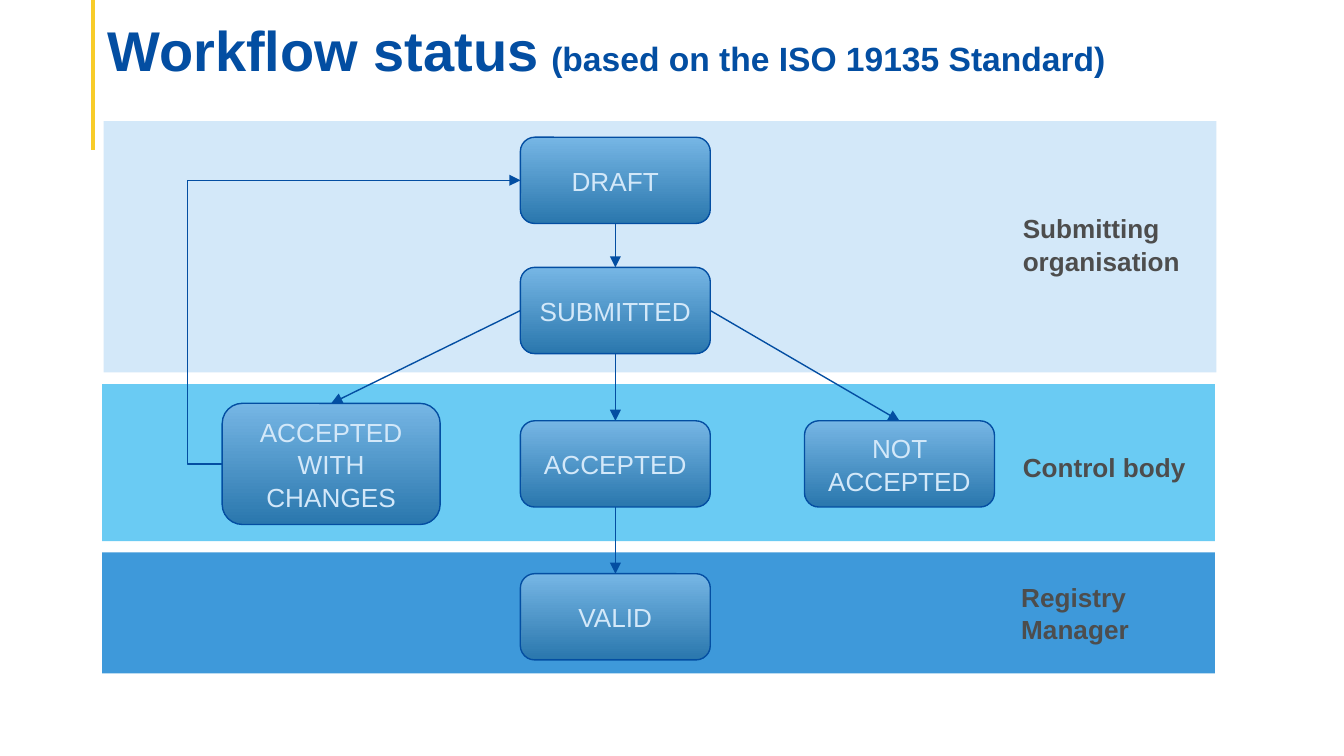
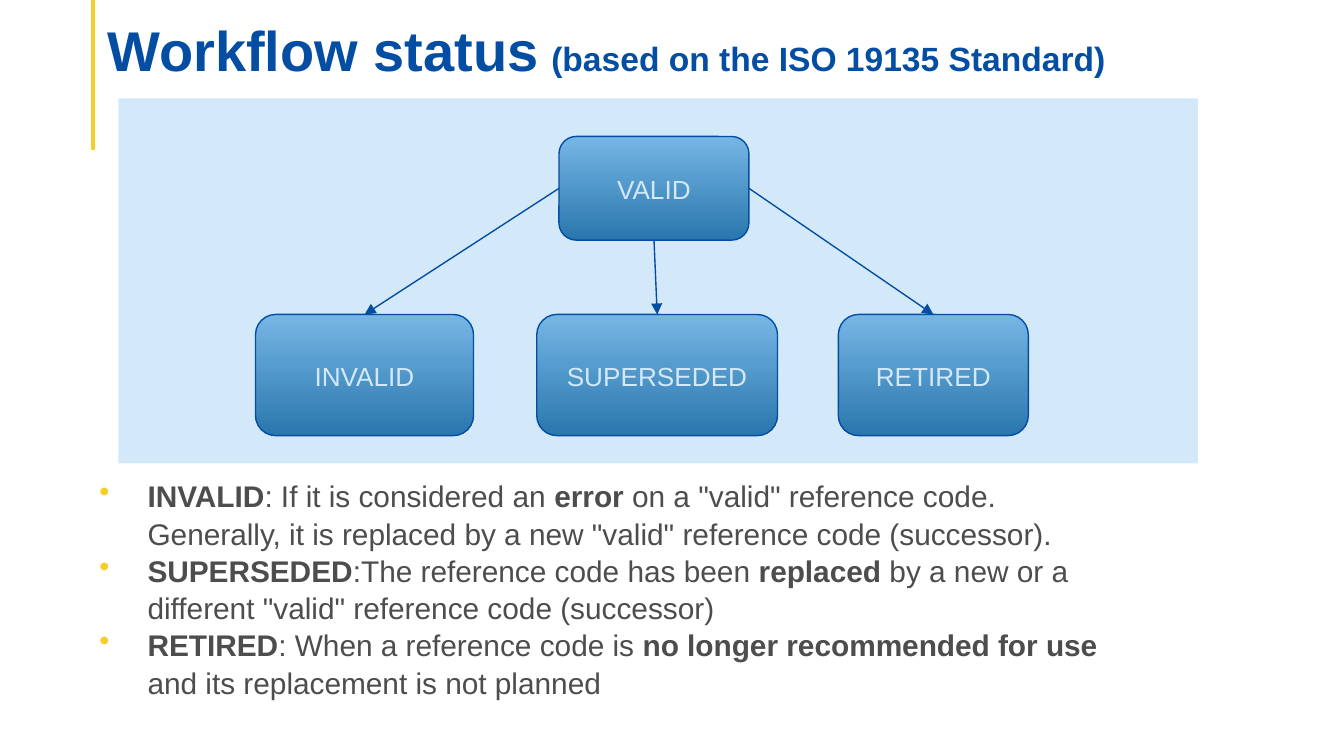
"""Builds two slides on the workflow status of reference codes."""
from lxml import etree
from pptx import Presentation
from pptx.dml.color import RGBColor
from pptx.enum.shapes import MSO_CONNECTOR, MSO_SHAPE
from pptx.enum.text import MSO_ANCHOR, MSO_AUTO_SIZE, PP_ALIGN
from pptx.oxml.ns import qn
from pptx.util import Cm, Pt

STRAIGHT, ELBOW = MSO_CONNECTOR.STRAIGHT, MSO_CONNECTOR.ELBOW
RECTANGLE, ROUNDED = MSO_SHAPE.RECTANGLE, MSO_SHAPE.ROUNDED_RECTANGLE
TOP, MIDDLE, BOTTOM = MSO_ANCHOR.TOP, MSO_ANCHOR.MIDDLE, MSO_ANCHOR.BOTTOM
LEFT, CENTER = PP_ALIGN.LEFT, PP_ALIGN.CENTER
NO_AUTOFIT = MSO_AUTO_SIZE.NONE
TOP_SIDE, LEFT_SIDE, BOTTOM_SIDE, RIGHT_SIDE = range(4)

BLUE = RGBColor(0x03, 0x4E, 0xA2)
YELLOW = RGBColor(0xF8, 0xCC, 0x29)
GREY = RGBColor(0x4D, 0x4D, 0x4D)
PALE = RGBColor(0xD3, 0xE8, 0xF9)
SKY = RGBColor(0x6A, 0xCB, 0xF3)
OCEAN = RGBColor(0x3E, 0x99, 0xDA)
BOX_SHADES = (RGBColor(0x76, 0xB6, 0xE5), RGBColor(0x2A, 0x77, 0xAD))

FONT = "Arial"
PADDING = 0.25
LINE_SPACING = 1.04
TITLE = [("Workflow status", 30), (" ", 24),
         ("(based on the ISO 19135 Standard)", 18)]

NORMAL = (3.59, 1.63)
SOURCE = (3.59, 1.96)
LARGE = (4.12, 2.29)
WIDE = (4.55, 2.29)
NARROW = (3.59, 2.29)

SLIDES = [
    {
        "bands": [
            (1.93, 10.44, 21.03, 2.29, OCEAN),
            (1.93, 7.26, 21.03, 2.97, SKY),
            (1.96, 2.29, 21.03, 4.75, PALE),
        ],
        "statuses": [
            ("DRAFT", 11.63, 3.41, NORMAL),
            ("SUBMITTED", 11.63, 5.87, NORMAL),
            ("ACCEPTED", 11.63, 8.77, NORMAL),
            ("VALID", 11.63, 11.66, NORMAL),
            ("NOT ACCEPTED", 17.0, 8.77, NORMAL),
            ("ACCEPTED WITH CHANGES", 6.26, 8.77, LARGE),
        ],
        "transitions": [
            ("DRAFT", BOTTOM_SIDE, "SUBMITTED", TOP_SIDE),
            ("SUBMITTED", BOTTOM_SIDE, "ACCEPTED", TOP_SIDE),
            ("ACCEPTED", BOTTOM_SIDE, "VALID", TOP_SIDE),
            ("SUBMITTED", LEFT_SIDE, "ACCEPTED WITH CHANGES", TOP_SIDE),
            ("SUBMITTED", RIGHT_SIDE, "NOT ACCEPTED", TOP_SIDE),
            ("ACCEPTED WITH CHANGES", LEFT_SIDE, "DRAFT", LEFT_SIDE),
        ],
        "actors": [
            ("Submitting organisation", 19.08, 4.06, 3.91),
            ("Control body", 19.08, 7.95, 3.91),
            ("Registry Manager", 19.05, 11.02, 4.19),
        ],
        "definitions": [],
    },
    {
        "bands": [(2.24, 1.86, 20.4, 6.9, PALE)],
        "statuses": [
            ("VALID", 12.36, 3.56, SOURCE),
            ("SUPERSEDED", 12.42, 7.09, WIDE),
            ("RETIRED", 17.64, 7.09, NARROW),
            ("INVALID", 6.89, 7.09, LARGE),
        ],
        "transitions": [
            ("VALID", LEFT_SIDE, "INVALID", TOP_SIDE),
            ("VALID", RIGHT_SIDE, "RETIRED", TOP_SIDE),
            ("VALID", BOTTOM_SIDE, "SUPERSEDED", TOP_SIDE),
        ],
        "actors": [],
        "definitions": [
            ("INVALID", ": If it is considered an ", "error",
             ' on a "valid" reference code. Generally, it is replaced by a new '
             '"valid" reference code (successor).'),
            ("SUPERSEDED", ":The reference code has been ", "replaced ",
             'by a new or a different "valid" reference code (successor)'),
            ("RETIRED", ": When a reference code is ",
             "no longer recommended for use",
             " and its replacement is not planned"),
        ],
    },
]


def style_run(run, size, color, bold=False):
    run.font.name = FONT
    run.font.size = Pt(size)
    run.font.bold = bold
    run.font.color.rgb = color


def set_frame(frame, anchor, padding=(PADDING,) * 4):
    frame.word_wrap = True
    frame.auto_size = NO_AUTOFIT
    frame.vertical_anchor = anchor
    (frame.margin_left, frame.margin_top,
     frame.margin_right, frame.margin_bottom) = map(Cm, padding)


def write_label(frame, text, anchor, align, color, bold=False):
    set_frame(frame, anchor)
    frame.text = text
    paragraph = frame.paragraphs[0]
    paragraph.alignment = align
    paragraph.line_spacing = LINE_SPACING
    style_run(paragraph.runs[0], 14, color, bold)


def add_line(slide, kind, color, width, ends=(0, 0, 0, 0)):
    line = slide.shapes.add_connector(kind, *map(Cm, ends))
    line.line.color.rgb = color
    line.line.width = Pt(width)
    etree.SubElement(line._element.spPr, qn("a:effectLst"))
    return line


def add_title(slide):
    title = slide.shapes.title
    title.left, title.top, title.width, title.height = map(
        Cm, (1.85, -0.46, 21.39, 2.51))
    set_frame(title.text_frame, BOTTOM, (0.18, 0.1, 0.18, 0.47))
    paragraph = title.text_frame.paragraphs[0]
    paragraph.alignment = LEFT
    paragraph.line_spacing = 0.9
    for text, size in TITLE:
        run = paragraph.add_run()
        run.text = text
        style_run(run, size, BLUE, True)


def add_band(slide, left, top, width, height, color):
    band = slide.shapes.add_shape(
        RECTANGLE, *map(Cm, (left, top, width, height)))
    band.shadow.inherit = False
    band.fill.solid()
    band.fill.fore_color.rgb = color
    band.line.fill.background()


def add_status(slide, name, center_x, center_y, size):
    width, height = size
    status = slide.shapes.add_shape(
        ROUNDED, Cm(center_x - width / 2), Cm(center_y - height / 2),
        Cm(width), Cm(height))
    status.shadow.inherit = False
    status.fill.gradient()
    status.fill.gradient_angle = 270
    for stop, shade in zip(status.fill.gradient_stops, BOX_SHADES):
        stop.color.rgb = shade
    status.line.color.rgb = BLUE
    status.line.width = Pt(0.75)
    write_label(status.text_frame, name, MIDDLE, CENTER, PALE)
    return status


def add_transition(slide, start, start_side, end, end_side):
    returns = start_side == end_side
    arrow = add_line(slide, ELBOW if returns else STRAIGHT, BLUE, 0.75)
    arrow.begin_connect(start, start_side)
    arrow.end_connect(end, end_side)
    if returns:
        guides = arrow._element.spPr.find(qn("a:prstGeom")).get_or_add_avLst()
        etree.SubElement(guides, qn("a:gd"), name="adj1", fmla="val -11700")
    etree.SubElement(arrow.line._get_or_add_ln(), qn("a:tailEnd"),
                     type="triangle")


def add_actor(slide, name, left, top, width):
    actor = slide.shapes.add_textbox(*map(Cm, (left, top, width, 1.42)))
    write_label(actor.text_frame, name, BOTTOM, LEFT, GREY, True)


def add_definitions(slide, definitions):
    box = slide.shapes.add_textbox(*map(Cm, (1.27, 8.76, 20.4, 5.5)))
    frame = box.text_frame
    set_frame(frame, TOP)
    for index, parts in enumerate(definitions):
        paragraph = frame.add_paragraph() if index else frame.paragraphs[0]
        paragraph.line_spacing = LINE_SPACING
        properties = paragraph._p.get_or_add_pPr()
        properties.set("marL", str(Cm(1.27)))
        properties.set("indent", str(-Cm(0.91)))
        bullet_color = etree.SubElement(properties, qn("a:buClr"))
        etree.SubElement(bullet_color, qn("a:srgbClr"), val=str(YELLOW))
        etree.SubElement(properties, qn("a:buChar"), char="•")
        for position, text in enumerate(parts):
            run = paragraph.add_run()
            run.text = text
            style_run(run, 16, GREY, position % 2 == 0)


def build_slide(deck, content):
    slide = deck.slides.add_slide(deck.slide_layouts[5])
    add_line(slide, STRAIGHT, YELLOW, 2.25, (1.75, 0, 1.75, 2.84))
    add_title(slide)
    for band in content["bands"]:
        add_band(slide, *band)
    statuses = {status[0]: add_status(slide, *status)
                for status in content["statuses"]}
    for start, start_side, end, end_side in content["transitions"]:
        add_transition(slide, statuses[start], start_side,
                       statuses[end], end_side)
    for actor in content["actors"]:
        add_actor(slide, *actor)
    if content["definitions"]:
        add_definitions(slide, content["definitions"])


def main():
    deck = Presentation()
    deck.slide_width, deck.slide_height = Cm(25.4), Cm(14.29)
    for content in SLIDES:
        build_slide(deck, content)
    deck.save("out.pptx")


if __name__ == "__main__":
    main()
